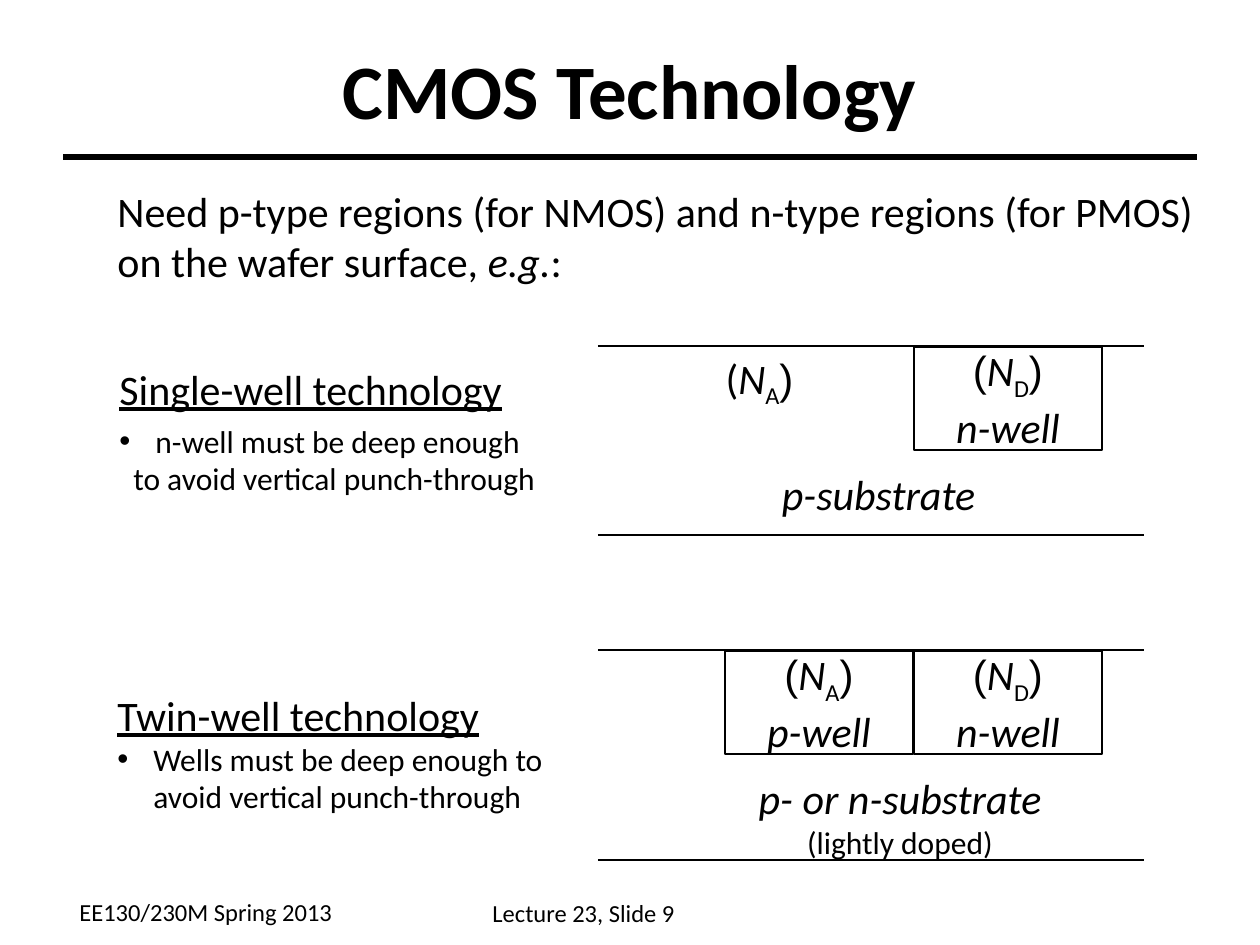
from lxml import etree
from pptx import Presentation
from pptx.dml.color import RGBColor
from pptx.enum.shapes import MSO_CONNECTOR, MSO_SHAPE
from pptx.enum.text import MSO_ANCHOR, PP_ALIGN
from pptx.oxml.ns import qn
from pptx.util import Pt

LEFT, CENTER = PP_ALIGN.LEFT, PP_ALIGN.CENTER
TOP, MIDDLE = MSO_ANCHOR.TOP, MSO_ANCHOR.MIDDLE
STRAIGHT, RECT = MSO_CONNECTOR.STRAIGHT, MSO_SHAPE.RECTANGLE
COLORS = {"ink": "000000", "paper": "FFFFFF"}
INK = RGBColor.from_string(COLORS["ink"])
BODY, MATH = "Calibri", "Arial"
INDENT = 36


def px(n):
    return round(n * 914400 / 126)


def run(text, size=24, face=BODY, **style):
    return text, size, face, style


def para(*runs, **form):
    return runs, form


def dope(letter, face=MATH):
    """Doping symbol such as (N_A), with a lowered letter."""
    return para(run("(", face=face), run("N", italic=True),
                run(letter, sub=True), run(")", face=MATH))


def set_bullet(p):
    props = p._p.get_or_add_pPr()
    props.set("marL", str(px(INDENT)))
    props.set("indent", str(-px(INDENT)))
    font = etree.SubElement(props, qn("a:buFont"))
    font.set("typeface", MATH)
    etree.SubElement(props, qn("a:buChar")).set("char", "•")


def fill_text(frame, paras, align=LEFT, anchor=TOP, wrap=False):
    frame.word_wrap = wrap
    frame.vertical_anchor = anchor
    for i, (runs, form) in enumerate(paras):
        p = frame.paragraphs[0] if i == 0 else frame.add_paragraph()
        if form.get("bullet"):
            set_bullet(p)
        if "left" in form:
            p._p.get_or_add_pPr().set("marL", str(px(form["left"])))
        p.alignment = align
        if "before" in form:
            p.space_before = Pt(form["before"])
        for text, size, face, style in runs:
            r = p.add_run()
            r.text = text
            font = r.font
            font.size, font.name = Pt(size), face
            font.color.rgb = INK
            font.bold = style.get("bold")
            font.italic = style.get("italic")
            font.underline = style.get("underline")
            if style.get("sub"):
                r._r.get_or_add_rPr().set("baseline", "-25000")


def add_text(slide, box, paras, **layout):
    shape = slide.shapes.add_textbox(*map(px, box))
    fill_text(shape.text_frame, paras, **layout)


def add_line(slide, x, y, w, weight=1):
    line = slide.shapes.add_connector(STRAIGHT, px(x), px(y), px(x + w), px(y))
    line.line.color.rgb = INK
    line.line.width = Pt(weight)
    etree.SubElement(line._element.spPr, qn("a:effectLst"))


def add_well(slide, x, y, letter, name):
    well = slide.shapes.add_shape(RECT, px(x), px(y), px(188), px(103))
    well.shadow.inherit = False
    well.fill.background()
    well.line.color.rgb = INK
    well.line.width = Pt(1)
    fill_text(well.text_frame, [dope(letter), para(run(name, italic=True))],
              align=CENTER, anchor=MIDDLE)


def add_head(slide, x, y, w, h):
    add_line(slide, x, y + 147, w, 3)
    add_text(slide, (x, y, w, h),
             [para(run("CMOS Technology", 44, bold=True))],
             align=CENTER, anchor=MIDDLE, wrap=True)


def add_wafer(slide, box, wells, label, width):
    """Cross-section: two surfaces, wells under the top one, substrate label."""
    x, y, w, h = box
    for edge in (y, y + h):
        add_line(slide, x, edge, w)
    for left, letter, name in wells:
        add_well(slide, x + left, y + 1, letter, name)
    add_text(slide, (x + 302 - width // 2 - 22 * (len(label) == 1), y + 116,
                     width, 63 if len(label) == 1 else 101),
             label, align=CENTER)


def add_note(slide, box, title, points, wrap=False):
    head = para(run(title, underline=True))
    add_text(slide, box, [head, *points], wrap=wrap)


def add_foot(slide, x, y):
    for left, top, w, text in ((0, 0, 278, "EE130/230M Spring 2013"),
                               (413, 1, 299, "Lecture 23, Slide 9")):
        add_text(slide, (x + left, y + top, w, 43), [para(run(text, 14))])


def main():
    deck = Presentation()
    deck.slide_width, deck.slide_height = px(1260), px(945)
    slide = deck.slides.add_slide(deck.slide_layouts[6])
    slide.background.fill.solid()
    slide.background.fill.fore_color.rgb = RGBColor.from_string(COLORS["paper"])

    # Title and introduction
    add_head(slide, 63, 10, 1134, 158)
    add_text(slide, (105, 179, 1104, 113), [
        para(run("Need p-type regions (for NMOS) and n-type regions (for PMOS)")),
        para(run("on the wafer surface, "), run("e.g.", italic=True), run(":"))])

    # Single-well technology
    n_well = (316, "D", "n-well")
    add_wafer(slide, (598, 346, 546, 189), [n_well],
              [para(run("p-substrate", italic=True))], 221)
    add_text(slide, (713, 346, 93, 71), [dope("A", BODY)], align=CENTER)
    add_note(slide, (107, 357, 444, 146), "Single-well technology", [
        para(run("n-well must be deep enough", 18), bullet=True, before=4.5),
        para(run("to avoid vertical punch-through", 18), left=14)])

    # Twin-well technology
    add_wafer(slide, (598, 650, 546, 210), [n_well, (127, "A", "p-well")],
              [para(run("p- or n-substrate", italic=True)),
               para(run("(lightly doped)", 18))], 310)
    add_note(slide, (105, 683, 456, 139), "Twin-well technology", [
        para(run("Wells must be deep enough to avoid vertical punch-through", 18),
             bullet=True)], wrap=True)

    # Footer
    add_foot(slide, 67, 891)
    deck.save("out.pptx")


if __name__ == "__main__":
    main()
